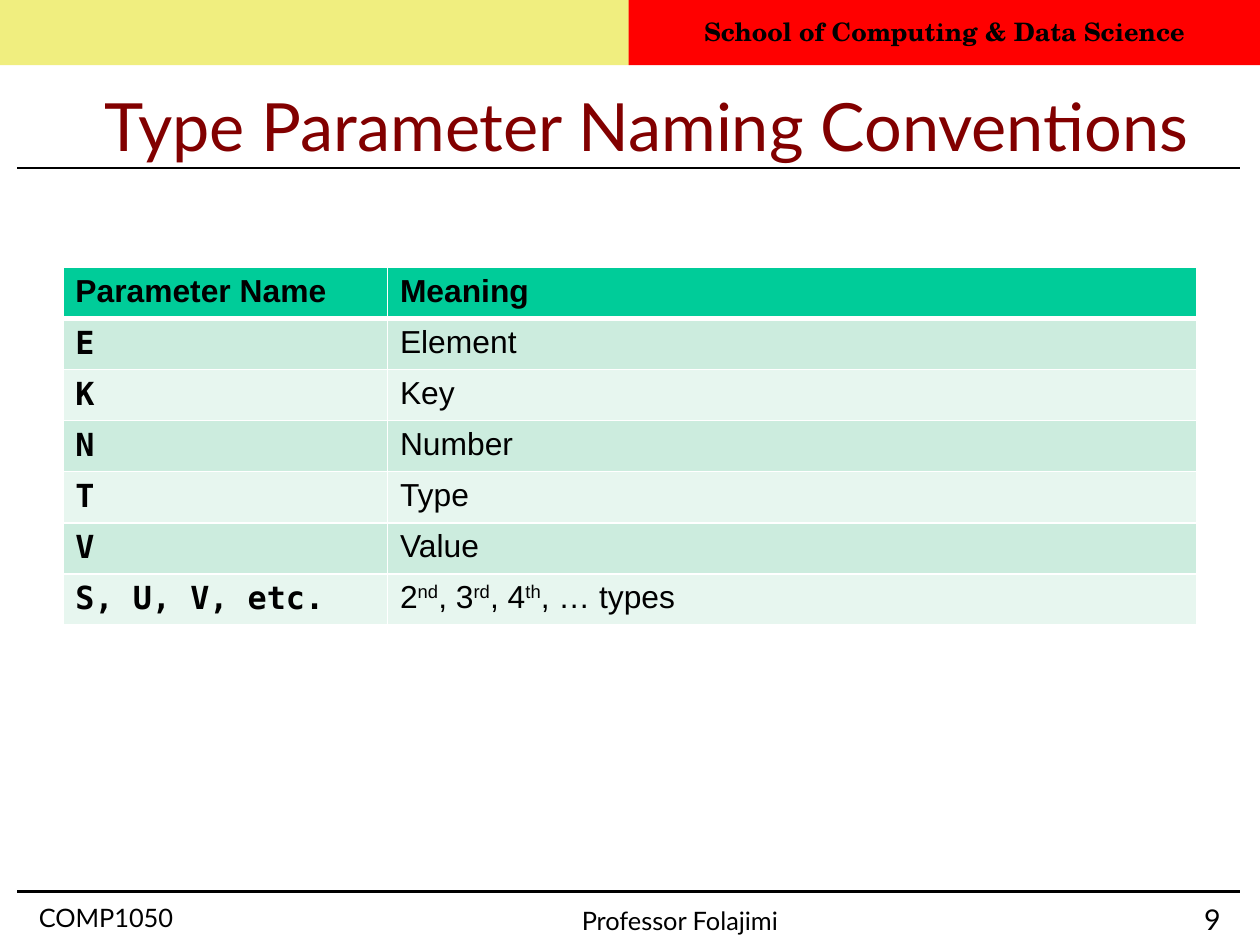
from lxml import etree
from pptx import Presentation
from pptx.dml import color
from pptx.enum import shapes, text
from pptx.oxml import ns
from pptx.util import Inches, Pt

FONT, SERIF, SANS, MONO = "Lato", "TeX Gyre Schola", "Arial", "DejaVu Sans Mono"
BLACK, WHITE, MAROON, RED, YELLOW = "000000", "FFFFFF", "820000", "FF0000", "E3DE00"
HEADER, BANDS = "00CC99", ("CCECDE", "E7F6EF")
LEFT, CENTER, RIGHT = text.PP_ALIGN.LEFT, text.PP_ALIGN.CENTER, text.PP_ALIGN.RIGHT
CM_PER_INCH = 2.54


def rgb(value):
    """Turn a hex string into a colour."""
    return color.RGBColor.from_string(value)


def sub(parent, tag, **attrs):
    """Append an XML child with attributes."""
    return etree.SubElement(parent, ns.qn(tag), {k: str(v) for k, v in attrs.items()})


def write(tf, runs, font=FONT, size=16, fill=BLACK, bold=False, align=LEFT,
          spacing=0.93, anchor=text.MSO_ANCHOR.TOP, insets=(0, 0.02, 0, 0)):
    """Write a string, or (string, superscript) pairs, as one paragraph."""
    tf.word_wrap = True
    tf.vertical_anchor = anchor
    tf.margin_left, tf.margin_top, tf.margin_right, tf.margin_bottom = map(Inches, insets)
    p = tf.paragraphs[0]
    p.alignment, p.line_spacing = align, spacing
    for content, raised in [(runs, False)] if isinstance(runs, str) else runs:
        r = p.add_run()
        r.text = content
        r.font.name, r.font.size, r.font.bold = font, Pt(size), bold
        r.font.color.rgb = rgb(fill)
        if raised:
            r._r.get_or_add_rPr().set("baseline", "30000")


class Deck:
    """Hold the presentation, its current slide and its element styles."""

    def __init__(self, width, height):
        """Start a presentation with one blank slide."""
        self.prs = Presentation()
        self.prs.slide_width, self.prs.slide_height = Inches(width), Inches(height)
        self.s = self.prs.slides.add_slide(self.prs.slide_layouts[6])

    def rule(self, y, x1=0.15, x2=10.85):
        """Draw a horizontal rule."""
        c = self.s.shapes.add_connector(shapes.MSO_CONNECTOR.STRAIGHT,
                                        Inches(x1), Inches(y), Inches(x2), Inches(y))
        c.line.color.rgb, c.line.width = rgb(BLACK), Pt(1.5)
        sub(c._element.spPr, "a:effectLst")

    def band(self, x, y, w, h, fill, alpha=None):
        """Draw a filled rectangle without outline."""
        sp = self.s.shapes.add_shape(shapes.MSO_SHAPE.RECTANGLE, *map(Inches, (x, y, w, h)))
        sp.shadow.inherit = False
        sp.line.fill.background()
        sp.fill.solid()
        sp.fill.fore_color.rgb = rgb(fill)
        if alpha:
            sub(sp._element.spPr.find(".//" + ns.qn("a:srgbClr")), "a:alpha", val=alpha * 1000)
        return sp

    def label(self, x, y, w, h, content, **style):
        """Place a text box."""
        sp = self.s.shapes.add_textbox(*map(Inches, (x, y, w, h)))
        write(sp.text_frame, content, **style)

    def cell(self, cell, content, fill, top, bottom, **style):
        """Fill and frame one table cell."""
        write(cell.text_frame, content, size=20, spacing=0.98, **style)
        cell.margin_left = cell.margin_right = Inches(0.11)
        cell.margin_top = cell.margin_bottom = Inches(0.06)
        tcPr = cell._tc.get_or_add_tcPr()
        for side, width in (("L", 1), ("R", 1), ("T", top), ("B", bottom)):
            ln = sub(tcPr, "a:ln" + side, w=Pt(width))
            sub(sub(ln, "a:solidFill"), "a:srgbClr", val=WHITE)
        cell.fill.solid()
        cell.fill.fore_color.rgb = rgb(fill)

    def table(self, x, y, widths, height, rows):
        """Build a banded table with a header row."""
        t = self.s.shapes.add_table(len(rows), len(widths), Inches(x), Inches(y),
                                    Inches(sum(widths)), Inches(height)).table
        for column, width in zip(t.columns, widths):
            column.width = Inches(width)
        for i, row in enumerate(rows):
            t.rows[i].height = Inches(height / len(rows))
            for j, content in enumerate(row):
                self.cell(t.cell(i, j), content,
                          fill=BANDS[(i - 1) % 2] if i else HEADER,
                          top=3 if i == 1 else 1, bottom=1 if i else 3,
                          font=MONO if i and j == 0 else SANS, bold=i == 0 or j == 0)


def main():
    """Build the slide."""
    d = Deck(28 / CM_PER_INCH, 21 / CM_PER_INCH)
    d.rule(7.8)
    d.label(0.34, 7.9, 1.93, 0.28, "COMP1050")
    d.label(9.85, 7.9, 0.83, 0.28, "9", size=18, align=RIGHT)
    d.rule(1.47)
    d.band(0, 0, 5.51, 0.57, YELLOW, alpha=50)
    school = d.band(5.5, 0, 5.53, 0.57, RED)
    write(school.text_frame, "School of Computing & Data Science", font=SERIF, bold=True,
          align=CENTER, spacing=0.98, anchor=text.MSO_ANCHOR.MIDDLE,
          insets=(0.1, 0.05, 0.1, 0.05))
    d.label(5.09, 7.92, 1.93, 0.28, "Professor Folajimi")
    d.label(0.55, 0.34, 10.21, 1.38, "Type Parameter Naming Conventions", size=41.9,
            fill=MAROON, align=CENTER, spacing=1.17, anchor=text.MSO_ANCHOR.MIDDLE,
            insets=(0, 0, 0, 0))
    ordinals = [("2", False), ("nd", True), (", 3", False), ("rd", True),
                (", 4", False), ("th", True), (", … types", False)]
    d.table(0.55, 2.34, (2.84, 7.08), 3.13, [
        ("Parameter Name", "Meaning"), ("E", "Element"), ("K", "Key"), ("N", "Number"),
        ("T", "Type"), ("V", "Value"), ("S, U, V, etc.", ordinals)])
    d.prs.save("out.pptx")


if __name__ == "__main__":
    main()
